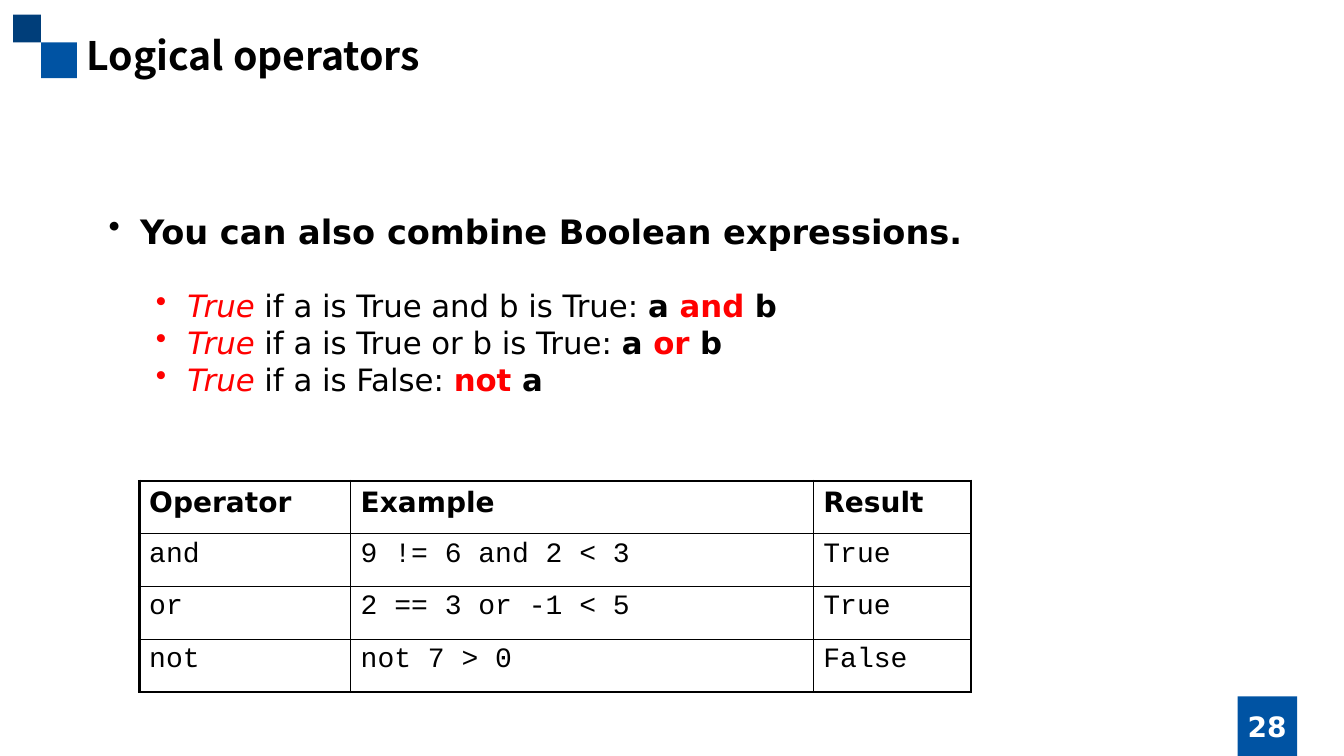
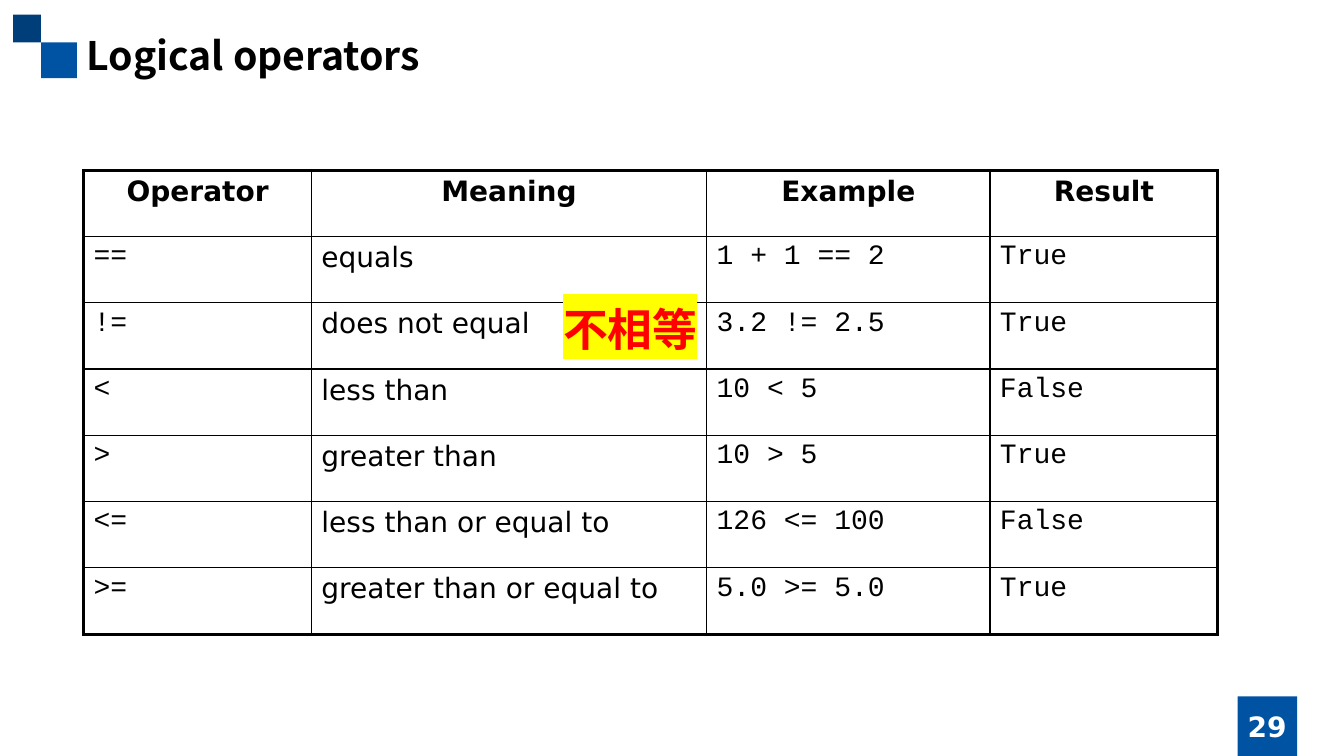
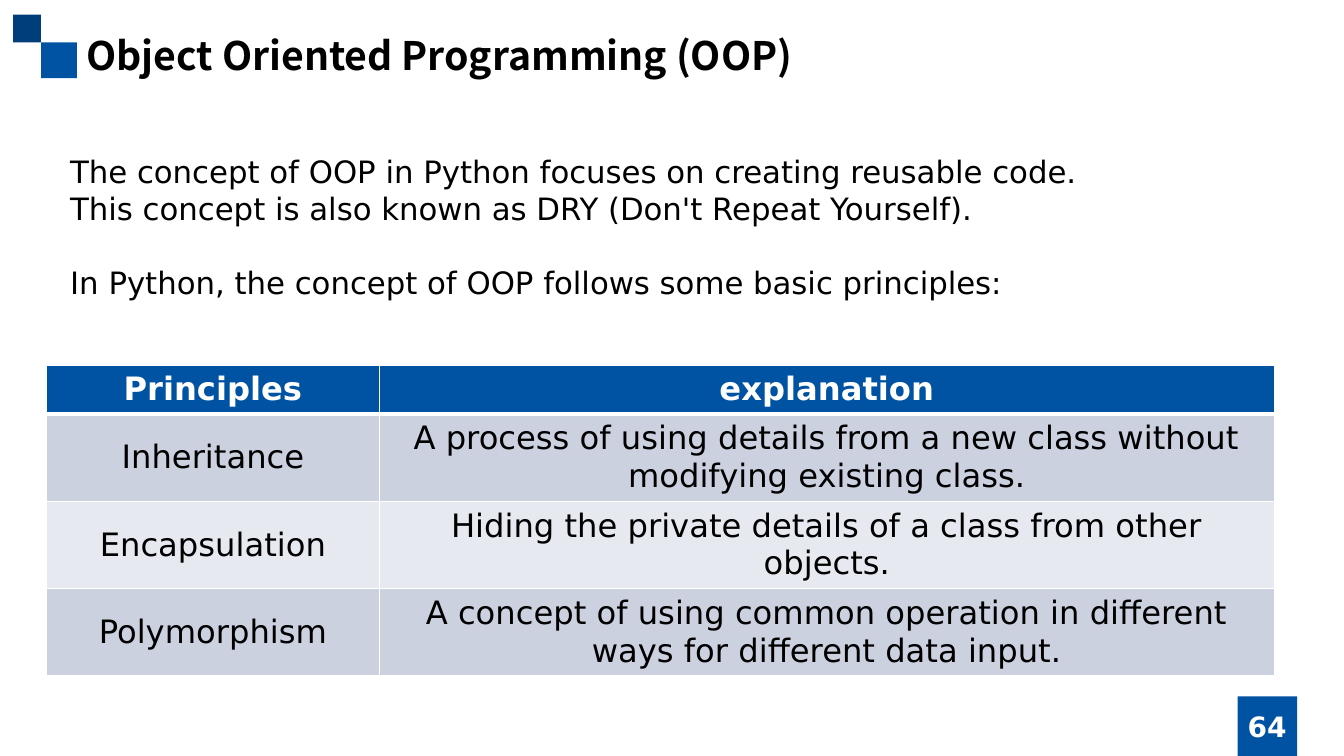
from dataclasses import dataclass

from lxml import etree
from pptx import Presentation
from pptx.dml.color import RGBColor
from pptx.enum.shapes import MSO_SHAPE
from pptx.enum.text import MSO_ANCHOR, MSO_AUTO_SIZE, PP_ALIGN
from pptx.oxml.ns import qn
from pptx.util import Cm, Pt

RECTANGLE = MSO_SHAPE.RECTANGLE
TOP, MIDDLE = MSO_ANCHOR.TOP, MSO_ANCHOR.MIDDLE
LEFT, CENTER = PP_ALIGN.LEFT, PP_ALIGN.CENTER
NO_AUTOFIT = MSO_AUTO_SIZE.NONE


@dataclass(frozen=True)
class Theme:
    sans: str = "DejaVu Sans"
    mono: str = "Courier New"
    heading: str = "Noto Sans CJK SC"
    blue: str = "0053A3"
    navy: str = "003E7A"
    black: str = "000000"
    white: str = "FFFFFF"
    red: str = "FF0000"
    yellow: str = "FFFF00"
    band_dark: str = "CCD1E0"
    band_light: str = "E7E9F0"
    title_size: int = 28
    lead_size: int = 24
    body_size: int = 22
    principle_size: int = 23
    table_size: int = 20
    callout_size: int = 32


theme = Theme()


def write(para, text, size, face=theme.sans, color=theme.black, bold=False,
          italic=False, highlight=None, align=LEFT):
    para.alignment = align
    span = para.add_run()
    span.text = text
    font = span.font
    font.size, font.name, font.bold, font.italic = Pt(size), face, bold, italic
    font.color.rgb = RGBColor.from_string(color)
    properties = span._r.get_or_add_rPr()
    etree.SubElement(properties, qn("a:ea"), typeface=theme.heading)
    if highlight:
        marker = etree.Element(qn("a:highlight"))
        etree.SubElement(marker, qn("a:srgbClr"), val=highlight)
        properties.find(qn("a:latin")).addprevious(marker)


def draw_table(page, place, widths, heights, rows, faces, size, header_align=LEFT,
               body_align=LEFT, anchor=TOP, side_margin=0.25, header_color=theme.black,
               fills=None, line=theme.black, inner=1, outer=2.25, header_rule=1):
    left, top = place
    table = page.shapes.add_table(len(rows), len(widths), Cm(left), Cm(top),
                                  Cm(sum(widths)), Cm(sum(heights))).table
    table.first_row = table.horz_banding = False
    for column, width in zip(table.columns, widths):
        column.width = Cm(width)
    last_row, last_column = len(rows) - 1, len(widths) - 1
    for row_index, texts in enumerate(rows):
        table.rows[row_index].height = Cm(heights[row_index])
        header = row_index == 0
        for column_index, text in enumerate(texts):
            cell = table.cell(row_index, column_index)
            cell.vertical_anchor = anchor
            cell.margin_left = cell.margin_right = Cm(side_margin)
            write(cell.text_frame.paragraphs[0], text, size,
                  face=theme.sans if header else faces[column_index],
                  color=header_color if header else theme.black,
                  bold=header, align=header_align if header else body_align)
            if fills:
                cell.fill.solid()
                cell.fill.fore_color.rgb = RGBColor.from_string(fills[row_index])
            else:
                cell.fill.background()
            borders = {
                "a:lnL": outer if column_index == 0 else inner,
                "a:lnR": outer if column_index == last_column else inner,
                "a:lnT": outer if header else header_rule if row_index == 1 else inner,
                "a:lnB": outer if row_index == last_row else header_rule if header else inner,
            }
            properties = cell._tc.get_or_add_tcPr()
            for position, (side, weight) in enumerate(borders.items()):
                border = etree.Element(qn(side), w=str(Pt(weight)))
                paint = etree.SubElement(border, qn("a:solidFill"))
                etree.SubElement(paint, qn("a:srgbClr"), val=line)
                properties.insert(position, border)


deck = Presentation()
deck.slide_width, deck.slide_height = Cm(33.87), Cm(19.05)
title_only = deck.slide_layouts[5]

pages = []
for title, number in [("Logical operators", "28"),
                      ("Logical operators", "29"),
                      ("Object Oriented Programming (OOP)", "64")]:
    page = deck.slides.add_slide(title_only)
    pages.append(page)
    heading = page.shapes.title
    heading.left, heading.top, heading.width, heading.height = Cm(1.93), Cm(0.79), Cm(24), Cm(1.45)
    frame = heading.text_frame
    frame.auto_size, frame.vertical_anchor = NO_AUTOFIT, TOP
    frame.margin_top = frame.margin_bottom = 0
    write(frame.paragraphs[0], title, theme.title_size, face=theme.heading, bold=True)

    number_box = page.shapes.add_textbox(Cm(30), Cm(17.8), Cm(3.87), Cm(1.02))
    number_box.text_frame.word_wrap = True
    number_box.text_frame.vertical_anchor = MIDDLE
    write(number_box.text_frame.paragraphs[0], number, theme.table_size,
          color=theme.white, bold=True, align=CENTER)

logic_page, comparison_page, principles_page = pages

for left, top, side, color in [(1.04, 1.07, 0.9, theme.blue),
                               (0.33, 0.37, 0.7, theme.navy),
                               (31.19, 17.55, 1.5, theme.blue)]:
    square = logic_page.shapes.add_shape(RECTANGLE, Cm(left), Cm(top), Cm(side), Cm(side))
    square.shadow.inherit = False
    square.fill.solid()
    square.fill.fore_color.rgb = RGBColor.from_string(color)
    square.line.fill.background()
    title_only.shapes.element.append(square.element)

draw_table(
    logic_page, (3.51, 12.12), [5.33, 11.66, 3.97], [1.33] * 4,
    [("Operator", "Example", "Result"),
     ("and", "9 != 6 and 2 < 3", "True"),
     ("or", "2 == 3 or -1 < 5", "True"),
     ("not", "not 7 > 0", "False")],
    [theme.mono] * 3, theme.table_size)

draw_table(
    comparison_page, (2.11, 4.29), [5.74, 9.96, 7.14, 5.74], [1.67] * 7,
    [("Operator", "Meaning", "Example", "Result"),
     ("==", "equals", "1 + 1 == 2", "True"),
     ("!=", "does not equal", "3.2 != 2.5", "True"),
     ("<", "less than", "10 < 5", "False"),
     (">", "greater than", "10 > 5", "True"),
     ("<=", "less than or equal to", "126 <= 100", "False"),
     (">=", "greater than or equal to", "5.0 >= 5.0", "True")],
    [theme.mono, theme.sans, theme.mono, theme.mono], theme.table_size,
    header_align=CENTER)

draw_table(
    principles_page, (1.18, 9.2), [8.38, 22.56], [1.21] + [2.2] * 3,
    [("Principles", "explanation"),
     ("Inheritance",
      "A process of using details from a new class without modifying existing class."),
     ("Encapsulation", "Hiding the private details of a class from other objects."),
     ("Polymorphism",
      "A concept of using common operation in different ways for different data input.")],
    [theme.sans] * 2, theme.principle_size, header_align=CENTER, body_align=CENTER,
    anchor=MIDDLE, side_margin=0.2, header_color=theme.white,
    fills=[theme.blue, theme.band_dark, theme.band_light, theme.band_dark],
    line=theme.white, outer=1, header_rule=3)

plain = {"size": theme.body_size}
strong = {**plain, "bold": True}
keyword = {**strong, "color": theme.red}
truth = {**plain, "color": theme.red, "italic": True}
lead = {"size": theme.lead_size, "bold": True}
callout = {"size": theme.callout_size, "bold": True, "color": theme.red,
           "highlight": theme.yellow}

text_blocks = [
    (logic_page, (2.49, 5.18, 24, 1.27), True, 0.13,
     [(0, [("You can also combine Boolean expressions.", lead)])]),
    (logic_page, (3.68, 7.09, 20, 3.07), True, 0.13,
     [(0, [("True ", truth), ("if a is True and b is True: ", plain),
           ("a ", strong), ("and", keyword), (" b", strong)]),
      (0, [("True ", truth), ("if a is True or b is True: ", plain),
           ("a ", strong), ("or", keyword), (" b", strong)]),
      (0, [("True ", truth), ("if a is False: ", plain),
           ("not", keyword), (" a", strong)])]),
    (comparison_page, (13.94, 7.6, 4.52, 1.63), False, 0,
     [(0, [("不相等", callout)])]),
    (principles_page, (1.52, 3.73, 28, 4.01), False, 0.13,
     [(0, [("The concept of OOP in Python focuses on creating reusable code.", plain)]),
      (0, [("This concept is also known as DRY (Don't Repeat Yourself).", plain)]),
      (26, [("In Python, the concept of OOP follows some basic principles:", plain)])]),
]

for page, place, bulleted, top_margin, paragraphs in text_blocks:
    box = page.shapes.add_textbox(*map(Cm, place))
    frame = box.text_frame
    frame.word_wrap = True
    frame.margin_top = Cm(top_margin)
    for index, (space_before, spans) in enumerate(paragraphs):
        para = frame.add_paragraph() if index else frame.paragraphs[0]
        para.space_before = Pt(space_before)
        for text, style in spans:
            write(para, text, **style)
        if bulleted:
            properties = para._p.get_or_add_pPr()
            properties.set("marL", str(Cm(0.79)))
            properties.set("indent", str(-Cm(0.79)))
            etree.SubElement(properties, qn("a:buChar"), char="•")

deck.save("out.pptx")
